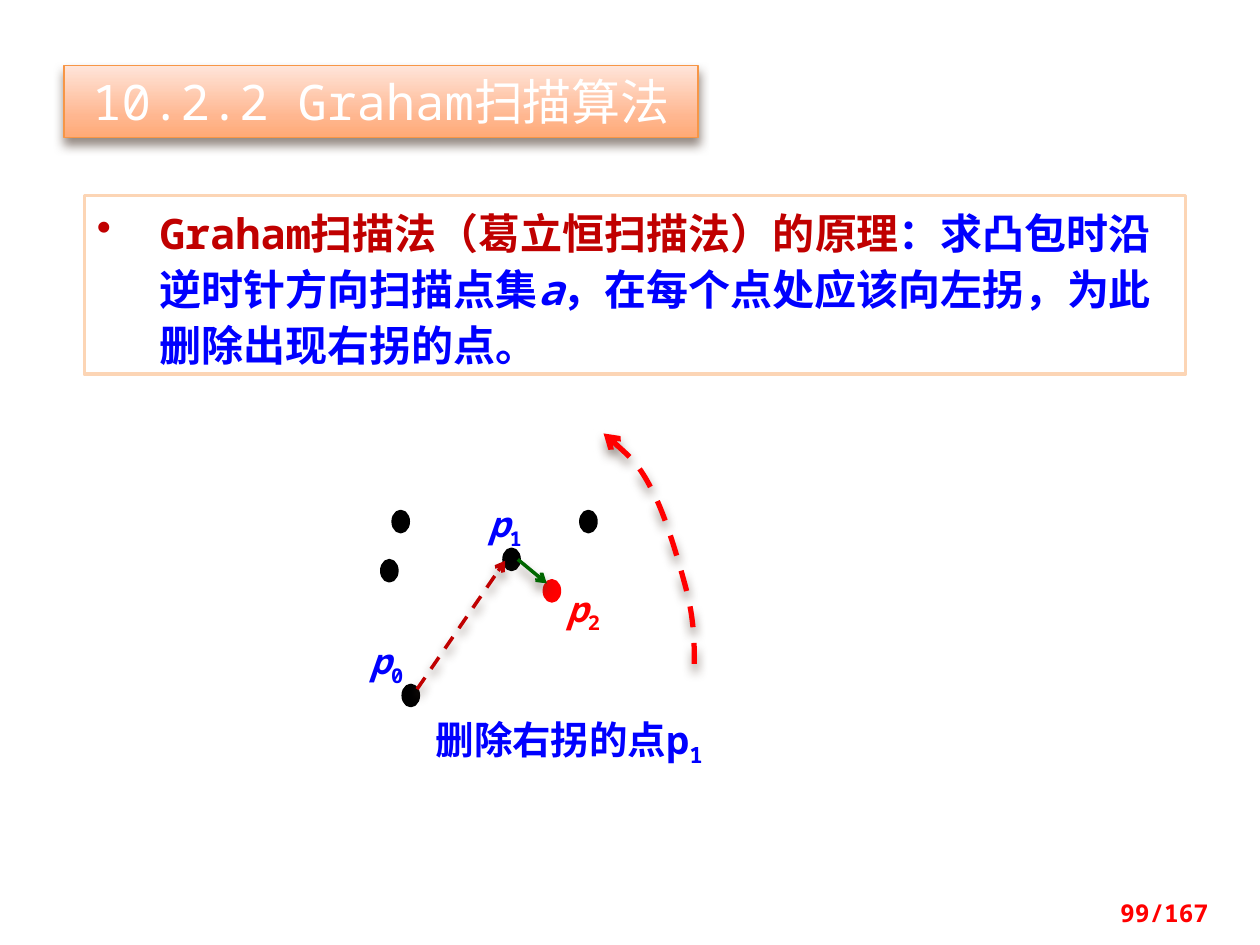
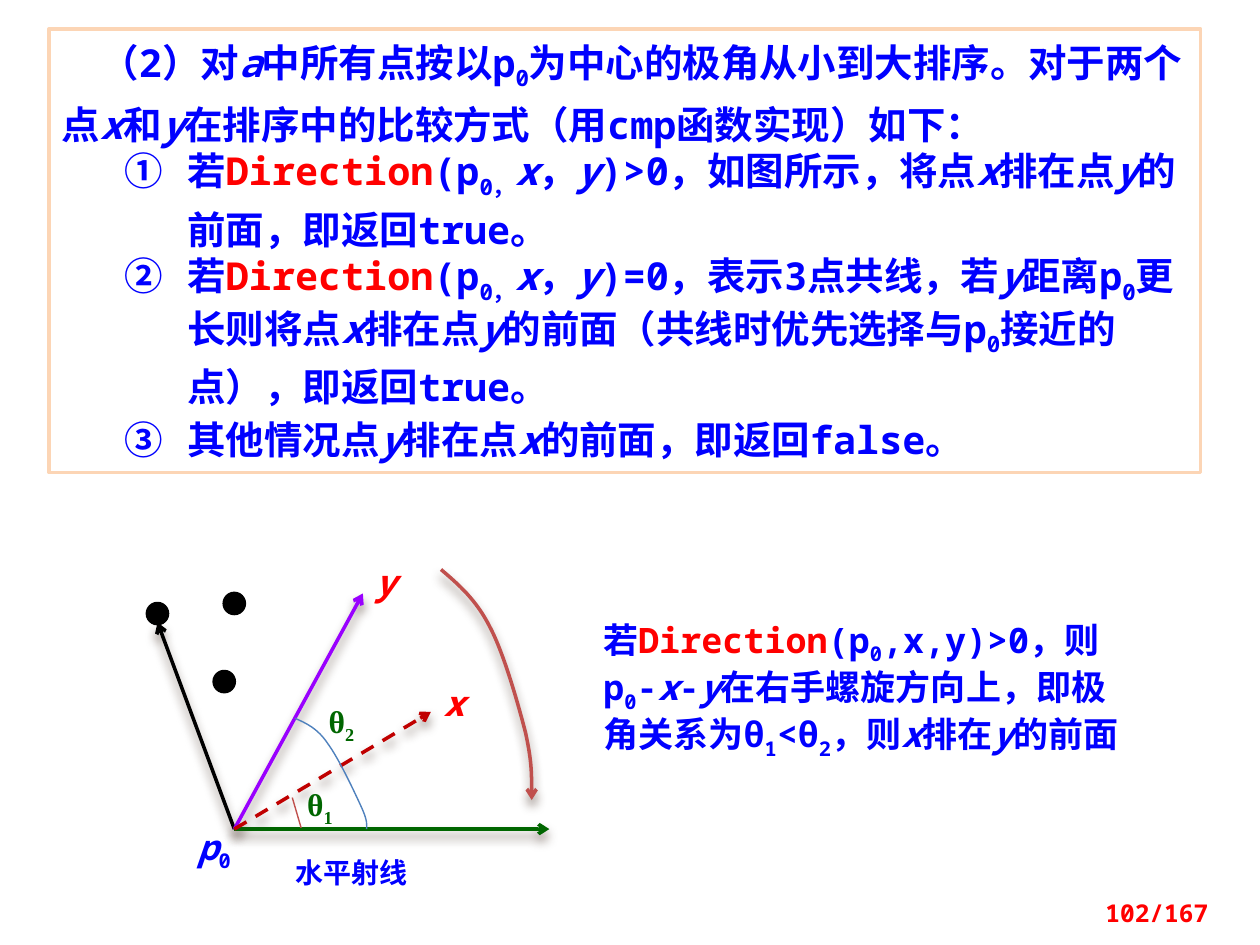
from copy import deepcopy
from itertools import zip_longest
from pptx import Presentation
from pptx import util as u
from pptx.dml.color import RGBColor
from pptx.enum import dml, shapes, text
from pptx.oxml import parse_xml
from pptx.oxml.ns import nsdecls, qn

hues = {
    "white": "FFFFFF", "black": "000000", "blue": "0000FF", "red": "FF0000",
    "wine": "C00000", "green": "006600", "violet": "9900FF", "peach": "FCD5B5",
    "orange": "F79646", "brick": "C0504D", "steel": "4F81BD", "shade": "4E3B30",
    "pale": "FFE5DA", "mid": "FFB68F", "deep": "FFAA76",
}
rgb = {name: RGBColor.from_string(code) for name, code in hues.items()}
mono, hans, roman = "Noto Sans Mono", "Noto Sans CJK SC", "Times New Roman"

deck = Presentation()
deck.slide_width, deck.slide_height = u.Inches(10), u.Inches(7.5)
col, row = deck.slide_width // 100, deck.slide_height // 75


def ink(item, hue, wide=2, dash=False, arrow=False, glow=False):
    item.line.color.rgb = rgb[hue]
    item.line.width = u.Pt(wide)
    if dash:
        item.line.dash_style = dml.MSO_LINE.DASH
    props = item.element.spPr
    if arrow:
        props.find(qn("a:ln")).append(parse_xml(f'<a:tailEnd {nsdecls("a")} type="arrow"/>'))
    cast = (f'<a:outerShdw blurRad="{u.Pt(6)}" dist="{u.Pt(4)}" dir="5400000" rotWithShape="0">'
            f'<a:srgbClr val="{hues["shade"]}"><a:alpha val="60000"/></a:srgbClr></a:outerShdw>')
    props.append(parse_xml(f'<a:effectLst {nsdecls("a")}>{cast if glow else ""}</a:effectLst>'))


def put(page, at, *words, size=20, hue="blue", face=mono, bold=True, side="LEFT",
        lead=(), mark=None, left=0, edge=None, wide=2, glow=False):
    x, y, w, h = at
    area = int(x * col), int(y * row), int(w * col), int(h * row)
    if edge:
        item = page.shapes.add_shape(shapes.MSO_SHAPE.RECTANGLE, *area)
        item.fill.solid()
        item.fill.fore_color.rgb = rgb["white"]
        ink(item, edge, wide, glow=glow)
    else:
        item = page.shapes.add_textbox(*area)
    frame = item.text_frame
    frame.word_wrap = True
    frame.vertical_anchor = text.MSO_ANCHOR.TOP
    for n, (line, gap) in enumerate(zip_longest(words, lead)):
        para = frame.paragraphs[0] if n == 0 else frame.add_paragraph()
        para.alignment = text.PP_ALIGN[side]
        if gap:
            para.line_spacing = u.Pt(gap)
        if line.startswith("#"):
            line = line[1:]
            props = para._p.get_or_add_pPr()
            props.set("marL", str(int(left * col)))
            props.set("indent", str(-5 * col))
            props.append(parse_xml(f'<a:{mark} {nsdecls("a")}/>'.replace("@", " ")))
        for part in line.split("|"):
            sign = part[0] if part[0] in "/_!~" else ""
            run = para.add_run()
            run.text = part[len(sign):]
            font = run.font
            font.size, font.bold, font.italic = u.Pt(size), bold, sign == "/"
            font.color.rgb = rgb[{"!": "red", "~": "wine"}.get(sign, hue)]
            font.name = face
            props = run._r.get_or_add_rPr()
            props.append(parse_xml(f'<a:ea {nsdecls("a")} typeface="{hans}"/>'))
            if sign == "_":
                props.set("baseline", "-25000")
    return item


scan, sort = [deck.slides.add_slide(deck.slide_layouts[6]) for _ in range(2)]

head = put(scan, (5.1, 5.2, 50.3, 5.7), "10.2.2 Graham扫描算法", size=28, hue="white",
           bold=False, side="CENTER", edge="orange", wide=0.79, glow=True)
head.text_frame.vertical_anchor = text.MSO_ANCHOR.MIDDLE
head.text_frame.margin_top = head.text_frame.margin_bottom = 0
head.fill.gradient()
head.fill.gradient_angle = 270
stops = head.element.spPr.find(qn("a:gradFill")).find(qn("a:gsLst"))
stops.insert(1, deepcopy(stops[0]))
for stop, hue, spot in zip(head.fill.gradient_stops, ("pale", "mid", "deep"), (0, 0.72, 1)):
    stop.color.rgb = rgb[hue]
    stop.position = spot

put(scan, (6.7, 15.5, 87.4, 14.2),
    "#~Graham扫描法（葛立恒扫描法）的原理|：求凸包时沿逆时针方向扫描点集|/a|，在每个点处应该向左拐，为此删除出现右拐的点。",
    size=24, lead=[32], mark='buChar char="•"', left=5, edge="peach")

body = put(sort, (3.9, 2.3, 91.4, 35.2),
           "（2）对|/a|中所有点按以p|_0|为中心的极角从小到大排序。对于两个点|/x|和|/y|在排序中的比较方式（用cmp函数实现）如下：",
           "#若|!Direction|(p|_0，|/x|，|/y|)>0，如图所示，将点|/x|排在点|/y|的前面，即返回true。",
           "#若|!Direction|(p|_0，|/x|，|/y|)=0，表示3点共线，若|/y|距离p|_0|更长则将点|/x|排在点|/y|的前面"
           "（共线时优先选择与p|_0|接近的点），即返回true。",
           "#其他情况点|/y|排在点|/x|的前面，即返回false。",
           size=22, lead=[32, 30, 30, 30], mark='buAutoNum type="circleNumDbPlain"',
           left=10, edge="peach")
body.text_frame.paragraphs[0]._p.get_or_add_pPr().set("indent", str(int(3.1 * col)))
for para in body.text_frame.paragraphs[1:]:
    para.level = 1

put(sort, (46.9, 48.6, 43, 12.4),
    "若|!Direction|(p|_0|,x,y)>0，则p|_0|-|/x|-|/y|在右手螺旋方向上，即极角关系为θ|_1|<θ|_2|，则|/x|排在|/y|的前面",
    lead=[27])

dots = [
    (scan, 1.2, "black", [(31.2, 40.6), (30.3, 44.5), (46.1, 40.6), (40, 43.6), (32, 54.4)]),
    (scan, 1.2, "red", [(43.2, 46.1)]),
    (sort, 1.6, "black", [(11.7, 47.9), (17, 53.3), (17.8, 47.1)]),
]
for page, wide, hue, spots in dots:
    for x, y in spots:
        dot = page.shapes.add_shape(shapes.MSO_SHAPE.OVAL, int(x * col), int(y * row),
                                    int(wide * col), int(1.6 * row))
        dot.fill.solid()
        dot.fill.fore_color.rgb = rgb[hue]
        ink(dot, hue)

base = 18.6, 65.8
ray = dict(arrow=True, glow=True)
rays = [
    (scan, (33.1, 54.7), (40.1, 44.5), "wine", dict(ray, dash=True)),
    (scan, (41.1, 44.4), (43.4, 46.3), "green", ray),
    (sort, base, (12.5, 49.4), "black", ray),
    (sort, base, (28.8, 47.1), "violet", ray),
    (sort, base, (43.6, 65.8), "green", ray),
    (sort, base, (34.2, 56.5), "wine", dict(ray, dash=True)),
    (sort, (23.2, 63.3), (23.9, 65.7), "brick", dict(wide=0.79)),
]
for page, start, end, hue, form in rays:
    line = page.shapes.add_connector(
        shapes.MSO_CONNECTOR.STRAIGHT, int(start[0] * col), int(start[1] * row),
        int(end[0] * col), int(end[1] * row))
    ink(line, hue, **form)

sweep = [(0, 0), (1.4, 1.2), (2.8, 2.4), (3.9, 4.6), (5, 6.7), (6.1, 10.6), (6.7, 12.9),
         (7.2, 15.2), (7.2, 16.7), (7.2, 18.3)]
angle = [(0, 0), (0.9, 0.4), (1.8, 0.8), (2.6, 2), (3.5, 3.2), (4.8, 6), (5.3, 7.1),
         (5.8, 8.2), (5.7, 8.5), (5.7, 8.8)]
arcs = [
    (scan, 47.9, 34.4, sweep[::-1], "red", dict(ray, wide=3, dash=True)),
    (sort, 35, 45.2, sweep, "brick", ray),
    (sort, 23.4, 57, angle, "steel", dict(wide=0.79)),
]
for page, x, y, curve, hue, form in arcs:
    first, *rest = [(int((x + a) * col), int((y + b) * row)) for a, b in curve]
    pen = page.shapes.build_freeform(*first)
    pen.add_line_segments(rest, close=False)
    arc = pen.convert_to_shape()
    legs = list(arc.element.spPr.iter(qn("a:lnTo")))
    for n in range(0, len(legs), 3):
        bend = parse_xml(f'<a:cubicBezTo {nsdecls("a")}/>')
        legs[n].addprevious(bend)
        for leg in legs[n:n + 3]:
            bend.append(leg[0])
            leg.getparent().remove(leg)
    arc.fill.background()
    ink(arc, hue, **form)

tags = [
    (scan, 28.4, 50.3, "/p|_0", "blue"),
    (scan, 44, 46.1, "/p|_2", "red"),
    (scan, 37.8, 39.4, "/p|_1", "blue"),
    (sort, 28.8, 44, "/y", "red"),
    (sort, 34.2, 53.6, "/x", "red"),
    (sort, 14.7, 65, "/p|_0", "blue"),
]
for page, x, y, word, hue in tags:
    put(page, (x, y, 4.7, 4.4), word, hue=hue)
for x, y, word in [(23.4, 61.8, "θ|_1"), (25.1, 55.2, "θ|_2")]:
    put(sort, (x, y, 4.7, 4), word, size=18, hue="green", face=roman)
put(scan, (33.6, 56.3, 29.7, 4.7), "删除右拐的点p|_1", size=22)
put(sort, (22.5, 67.4, 12.5, 3.7), "水平射线", size=16, face=hans)

for page, num in [(scan, 99), (sort, 102)]:
    put(page, (85.2, 70.8, 11.7, 2.6), f"{num}/167", size=14, hue="red", side="RIGHT")

deck.save("out.pptx")
